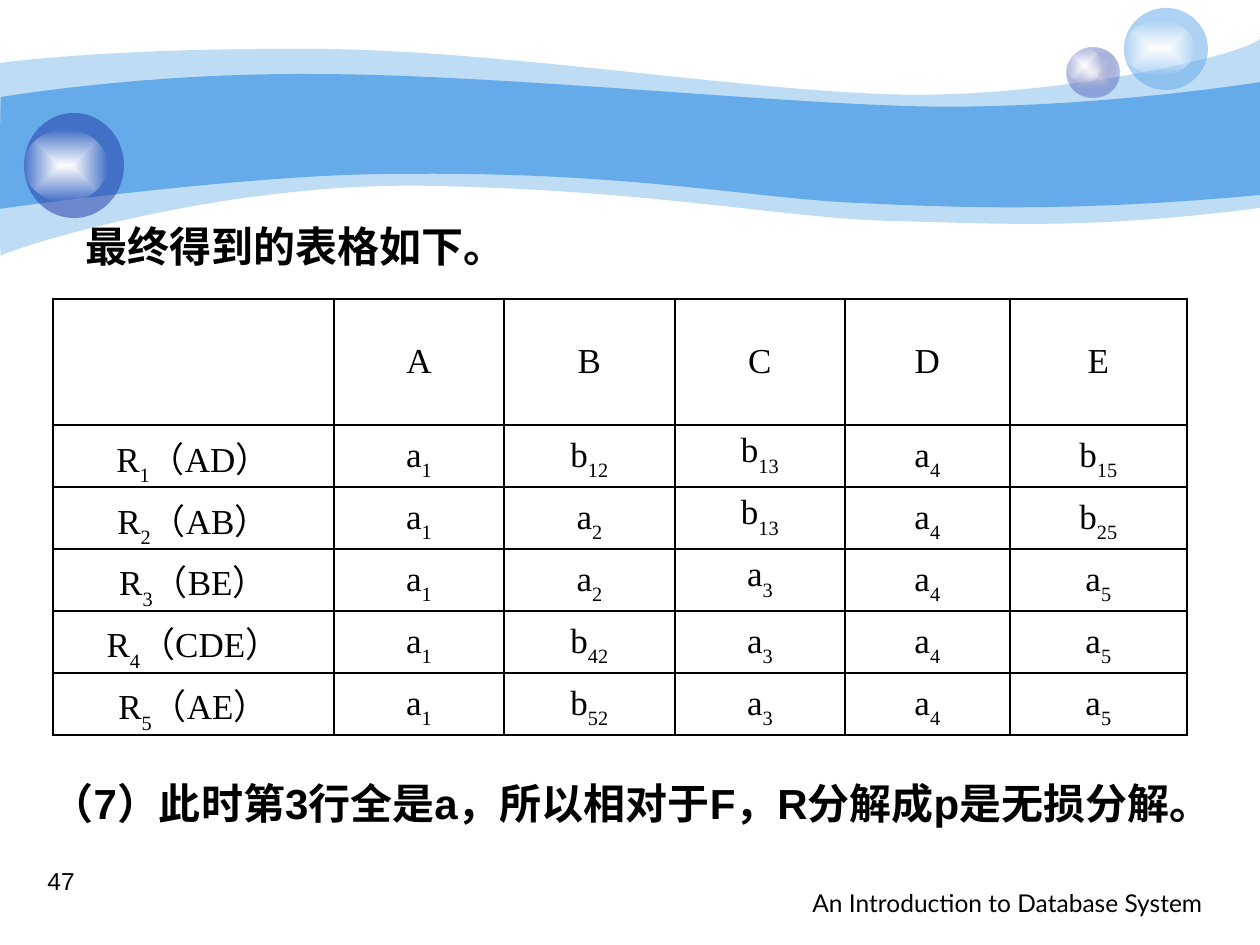
from pptx import Presentation
from pptx.dml.color import RGBColor
from pptx.enum.shapes import MSO_SHAPE
from pptx.enum.text import MSO_ANCHOR as Anchor, MSO_AUTO_SIZE as AutoSize, PP_ALIGN as Align
from pptx.oxml import parse_xml
from pptx.oxml.ns import nsdecls, qn
from pptx.util import Emu, Pt

EMU_PER_PX = 914400 / 126
SKY, NAVY, WHITE, BLACK = "65AAE9", "233DA9", "FFFFFF", "000000"

# Each wave: start point, then Bézier segments (three points) or lines (one point).
OUTER_WAVE = [
    (0, 63),
    [(30, 59), (135, 48), (311, 49)],
    [(486, 49), (724, 88), (881, 94)],
    [(1036, 101), (1235, 59), (1260, 39)],
    [(1260, 208)],
    [(1081, 231), (992, 223), (888, 221)],
    [(784, 218), (649, 190), (432, 186)],
    [(217, 181), (5, 251), (1, 256)],
    [(-1, 262), (0, 94), (0, 63)],
]
INNER_WAVE = [
    (1, 97),
    [(3, 97), (139, 73), (312, 74)],
    [(486, 74), (750, 101), (905, 106)],
    [(1060, 111), (1230, 87), (1260, 82)],
    [(1260, 195)],
    [(1075, 212), (964, 208), (859, 203)],
    [(755, 199), (628, 171), (399, 174)],
    [(256, 173), (-3, 209), (-1, 209)],
    [(0, 209), (0, 97), (1, 97)],
]

COLUMN_WIDTHS = [281, 170, 171, 170, 165, 177]
ROW_HEIGHTS = [126] + [62] * 5
# Text between underscores is subscript.
ROWS = [
    ["", *"ABCDE"],
    ["R_1_（AD）", "a_1", "b_12", "b_13", "a_4", "b_15"],
    ["R_2_（AB）", "a_1", "a_2", "b_13", "a_4", "b_25"],
    ["R_3_（BE）", "a_1", "a_2", "a_3", "a_4", "a_5"],
    ["R_4_（CDE）", "a_1", "b_42", "a_3", "a_4", "a_5"],
    ["R_5_（AE）", "a_1", "b_52", "a_3", "a_4", "a_5"],
]
TOP_ANCHORED = {(1, 3), (2, 3), (3, 3)}

HEADING_FONT = {"name": "Times New Roman", "size": Pt(24), "bold": True}
CELL_FONT = {"name": "Times New Roman", "size": Pt(20)}
CONCLUSION_FONT = {"name": "Arial", "size": Pt(24), "bold": True}
FOOTER_FONT = {"name": "Lato", "size": Pt(14)}
NUMBER_FONT = {"name": "Arial", "size": Pt(14)}


def px(value):
    return Emu(round(value * EMU_PER_PX))


def color(hex_string):
    return RGBColor.from_string(hex_string)


def set_attributes(target, values):
    for name, value in values.items():
        setattr(target, name, value)


def fill_solid(shape, hex_string, opacity=100):
    shape.shadow.inherit = False
    shape.line.fill.background()
    shape.fill.solid()
    shape.fill.fore_color.rgb = color(hex_string)
    if opacity < 100:
        rgb = shape.element.spPr.find(qn("a:solidFill")).find(qn("a:srgbClr"))
        rgb.append(parse_xml(f'<a:alpha {nsdecls("a")} val="{opacity * 1000}"/>'))


def fill_glow(shape, centre, edge, edge_opacity):
    """Fade from an opaque centre to a see-through edge."""
    fill_solid(shape, centre)
    gradient = parse_xml(
        f'<a:gradFill {nsdecls("a")} rotWithShape="1"><a:gsLst>'
        f'<a:gs pos="0"><a:srgbClr val="{centre}"/></a:gs>'
        f'<a:gs pos="100000"><a:srgbClr val="{edge}">'
        f'<a:alpha val="{edge_opacity * 1000}"/></a:srgbClr></a:gs></a:gsLst>'
        '<a:path path="shape"><a:fillToRect l="50000" t="50000" r="50000" b="50000"/></a:path>'
        '</a:gradFill>')
    properties = shape.element.spPr
    properties.replace(properties.find(qn("a:solidFill")), gradient)


def add_wave(slide, outline, opacity=100):
    """Draw the segment ends as a freeform, then bend its lines into curves."""
    start, *segments = outline
    builder = slide.shapes.build_freeform(px(start[0]), px(start[1]), scale=1.0)
    builder.add_line_segments([tuple(map(px, segment[-1])) for segment in segments])
    wave = builder.convert_to_shape()
    lines = list(wave.element.iter(qn("a:lnTo")))
    for line, segment in zip(lines, segments):
        if len(segment) == 3:
            points = "".join(f'<a:pt x="{px(x) - wave.left}" y="{px(y) - wave.top}"/>'
                             for x, y in segment)
            curve = parse_xml(f'<a:cubicBezTo {nsdecls("a")}>{points}</a:cubicBezTo>')
            line.getparent().replace(line, curve)
    fill_solid(wave, SKY, opacity)


def add_bubble(slide, ball_box, shine_box):
    """Add a ball with a white shine as a group; return the ball."""
    group = slide.shapes.add_group_shape()
    ball, shine = (group.shapes.add_shape(MSO_SHAPE.OVAL, *map(px, box))
                   for box in (ball_box, shine_box))
    fill_glow(shine, WHITE, WHITE, 0)
    return ball


def write_text(paragraph, text, font, alignment):
    paragraph.alignment = alignment
    for index, part in enumerate(text.split("_")):
        if not part:
            continue
        run = paragraph.add_run()
        run.text = part
        set_attributes(run.font, font)
        run.font.color.rgb = color(BLACK)
        if index % 2:
            run.font._element.set("baseline", "-30000")


def format_text(shape, box, text, font, alignment, anchor, wrap=True):
    set_attributes(shape, dict(zip(("left", "top", "width", "height"), map(px, box))))
    set_attributes(shape.text_frame, {
        "word_wrap": wrap, "auto_size": AutoSize.NONE, "vertical_anchor": anchor})
    write_text(shape.text_frame.paragraphs[0], text, font, alignment)


def add_text(slide, box, *format_values):
    format_text(slide.shapes.add_textbox(0, 0, 0, 0), box, *format_values)


def add_borders(cell):
    properties = cell._tc.get_or_add_tcPr()
    for side in "LRTB":
        properties.append(parse_xml(
            f'<a:ln{side} {nsdecls("a")} w="12700"><a:solidFill>'
            f'<a:srgbClr val="{BLACK}"/></a:solidFill></a:ln{side}>'))


def add_tableau(slide, left, top):
    frame = slide.shapes.add_table(len(ROWS), len(COLUMN_WIDTHS), px(left), px(top),
                                   px(sum(COLUMN_WIDTHS)), px(sum(ROW_HEIGHTS)))
    table = frame.table
    set_attributes(table, {"first_row": False, "horz_banding": False})
    for column, width in zip(table.columns, COLUMN_WIDTHS):
        column.width = px(width)
    for row_index, (row, height) in enumerate(zip(table.rows, ROW_HEIGHTS)):
        row.height = px(height)
        for column_index, text in enumerate(ROWS[row_index]):
            cell = row.cells[column_index]
            add_borders(cell)
            cell.fill.background()
            on_top = (row_index, column_index) in TOP_ANCHORED
            cell.vertical_anchor = Anchor.TOP if on_top else Anchor.MIDDLE
            if row_index:
                cell.margin_bottom = 0
            write_text(cell.text_frame.paragraphs[0], text, CELL_FONT, Align.CENTER)


def main():
    presentation = Presentation()
    set_attributes(presentation, {"slide_width": px(1260), "slide_height": px(945)})
    slide = presentation.slides.add_slide(presentation.slide_layouts[5])

    add_wave(slide, OUTER_WAVE, 41)
    add_wave(slide, INNER_WAVE)
    small_ball = add_bubble(slide, (1067, 48, 53, 50), (1067, 48, 35, 34))
    fill_glow(small_ball, "E1E2ED", NAVY, 31)
    fill_solid(add_bubble(slide, (1124, 8, 84, 82), (1124, 21, 71, 54)), SKY, 53)
    fill_solid(add_bubble(slide, (24, 113, 100, 105), (24, 130, 83, 71)), NAVY, 53)

    title = slide.shapes.title
    slide.shapes.element.append(title.element)  # bring in front of the waves
    format_text(title, (71, 214, 459, 63), "最终得到的表格如下。 ",
                HEADING_FONT, Align.CENTER, Anchor.MIDDLE, False)
    add_tableau(slide, 53, 299)
    add_text(slide, (18, 771, 1227, 63),
             "（7）此时第3行全是a，所以相对于F，R分解成p是无损分解。",
             CONCLUSION_FONT, Align.CENTER, Anchor.MIDDLE)
    add_text(slide, (719, 880, 496, 44), "An Introduction to Database System",
             FOOTER_FONT, Align.RIGHT, Anchor.BOTTOM)
    add_text(slide, (35, 860, 81, 63), "47", NUMBER_FONT, Align.LEFT, Anchor.TOP)
    presentation.save("out.pptx")


if __name__ == "__main__":
    main()
